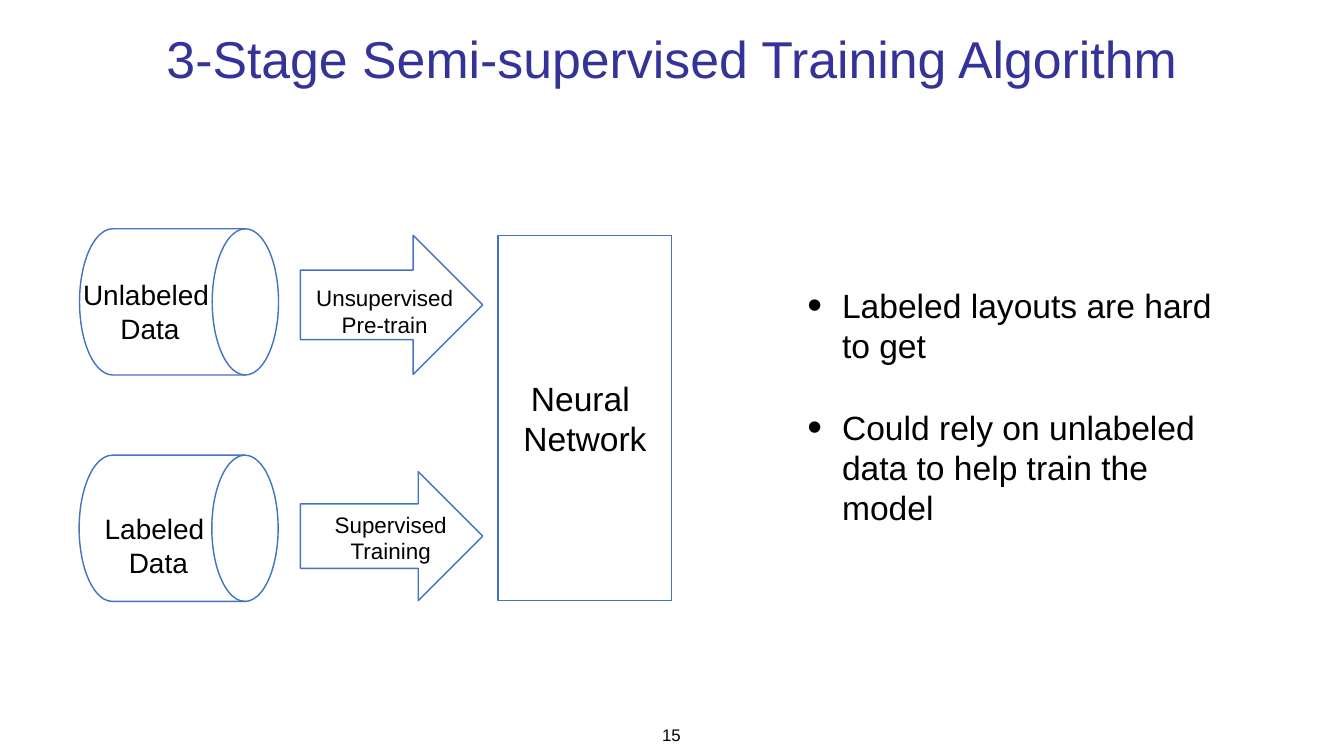
import dataclasses

import lxml.etree
import pptx
import pptx.dml.color
import pptx.enum.shapes
import pptx.enum.text
import pptx.oxml.ns
import pptx.util

Cm = pptx.util.Cm
Pt = pptx.util.Pt
Align = pptx.enum.text.PP_ALIGN
Anchor = pptx.enum.text.MSO_ANCHOR
Geometry = pptx.enum.shapes.MSO_SHAPE


@dataclasses.dataclass(frozen=True)
class Theme:
    font: str = "Arial"
    title_color: str = "333399"
    text_color: str = "000000"
    fill_color: str = "FFFFFF"
    line_color: str = "4472C4"
    line_width: int = 2
    title_size: int = 74
    body_size: int = 48
    data_size: int = 40
    stage_size: int = 32
    number_size: int = 24
    bullet_gap: int = 59
    bullet_indent: float = 1.75
    inset: float = 0.15


THEME = Theme()


def rgb(value):
    return pptx.dml.color.RGBColor.from_string(value)


def add_bullet(paragraph, indent):
    properties = paragraph._p.get_or_add_pPr()
    properties.set("marL", str(Cm(indent)))
    properties.set("indent", str(-Cm(indent)))
    for tag, attribute, value in (
        ("a:buSzPct", "val", "125000"),
        ("a:buFont", "typeface", THEME.font),
        ("a:buChar", "char", "•"),
    ):
        element = lxml.etree.SubElement(properties, pptx.oxml.ns.qn(tag))
        element.set(attribute, value)


def write_text(frame, text, *, size, color=THEME.text_color, align=Align.CENTER,
               anchor=Anchor.MIDDLE, wrap=False, bullets=False, gap=0):
    frame.word_wrap = wrap
    frame.auto_size = pptx.enum.text.MSO_AUTO_SIZE.NONE
    frame.vertical_anchor = anchor
    frame.margin_left = frame.margin_right = Cm(THEME.inset)
    frame.margin_top = frame.margin_bottom = Cm(THEME.inset)
    for index, line in enumerate(text.split("\n")):
        paragraph = frame.add_paragraph() if index else frame.paragraphs[0]
        if bullets:
            add_bullet(paragraph, THEME.bullet_indent)
        paragraph.alignment = align
        paragraph.line_spacing = 1.0
        paragraph.space_before = Pt(gap if index else 0)
        run = paragraph.add_run()
        run.text = line
        run.font.name = THEME.font
        run.font.size = Pt(size)
        run.font.color.rgb = rgb(color)


class SlideBuilder:
    def __init__(self, slide, theme):
        self.slide = slide
        self.theme = theme

    def placeholder(self, index, box, text, **text_format):
        holder = self.slide.placeholders[index]
        holder.left, holder.top, holder.width, holder.height = map(Cm, box)
        write_text(holder.text_frame, text, wrap=True, **text_format)

    def title(self, text, box):
        self.placeholder(0, box, text, size=self.theme.title_size,
                         color=self.theme.title_color)

    def bullet_list(self, points, box):
        self.placeholder(1, box, "\n".join(points), size=self.theme.body_size,
                         align=Align.LEFT, bullets=True, gap=self.theme.bullet_gap)

    def outline(self, geometry, box):
        figure = self.slide.shapes.add_shape(geometry, *map(Cm, box))
        figure.shadow.inherit = False
        figure.fill.solid()
        figure.fill.fore_color.rgb = rgb(self.theme.fill_color)
        figure.line.color.rgb = rgb(self.theme.line_color)
        figure.line.width = Pt(self.theme.line_width)

    def label(self, text, box, size, anchor=Anchor.MIDDLE):
        caption = self.slide.shapes.add_textbox(*map(Cm, box))
        write_text(caption.text_frame, text, size=size, anchor=anchor)


def main():
    presentation = pptx.Presentation()
    presentation.slide_width = Cm(67.74)
    presentation.slide_height = Cm(38.1)
    slide = presentation.slides.add_slide(presentation.slide_layouts[1])
    builder = SlideBuilder(slide, THEME)

    builder.title("3-Stage Semi-supervised Training Algorithm", (4.7, 0.91, 58.34, 3.96))
    builder.bullet_list(
        ["Labeled layouts are hard to get",
         "Could rely on unlabeled data to help train the model"],
        (40.54, 6.35, 22.5, 28.22),
    )

    builder.outline(Geometry.RECTANGLE, (25.1, 11.86, 8.76, 18.42))
    builder.label("Neural \nNetwork", (26.21, 18.87, 6.55, 4.39), THEME.body_size)

    data_sources = [
        ("Unlabeled \nData", (4.01, 11.53), (4.01, 13.82, 7.09, 3.71)),
        ("Labeled \nData", (3.99, 22.94), (5.11, 25.63, 5.74, 3.71)),
    ]
    for text, corner, text_box in data_sources:
        builder.outline(Geometry.FLOWCHART_DIRECT_ACCESS_STORAGE, (*corner, 10.03, 7.37))
        builder.label(text, text_box, THEME.data_size)

    training_stages = [
        ("Unsupervised\nPre-train", 11.86, 7.01, (15.77, 14.15, 7.24, 3.02)),
        ("Supervised\nTraining", 23.77, 6.5, (16.71, 25.58, 5.97, 3.02)),
    ]
    for text, top, height, text_box in training_stages:
        builder.outline(Geometry.RIGHT_ARROW, (15.14, top, 9.19, height))
        builder.label(text, text_box, THEME.stage_size)

    builder.label("15", (33.45, 36.35, 0.79, 1.27), THEME.number_size, Anchor.TOP)
    presentation.save("out.pptx")


if __name__ == "__main__":
    main()
